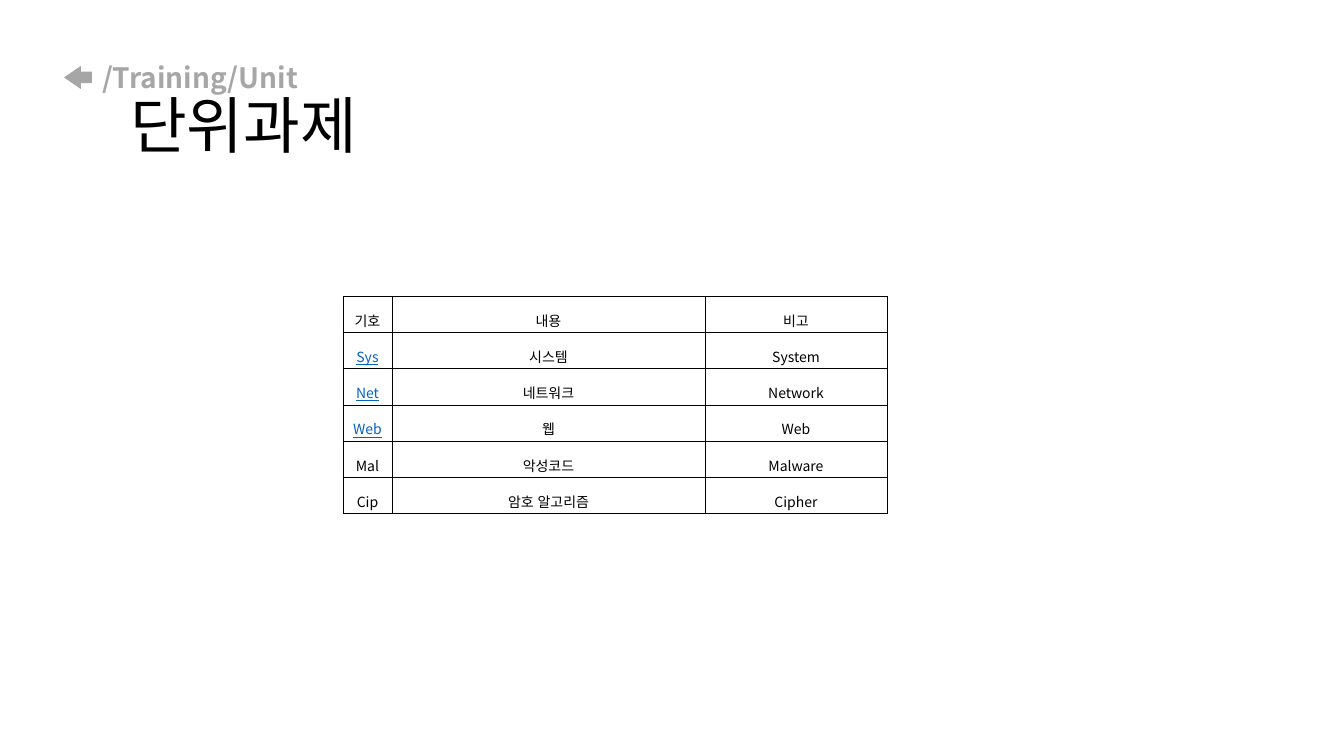
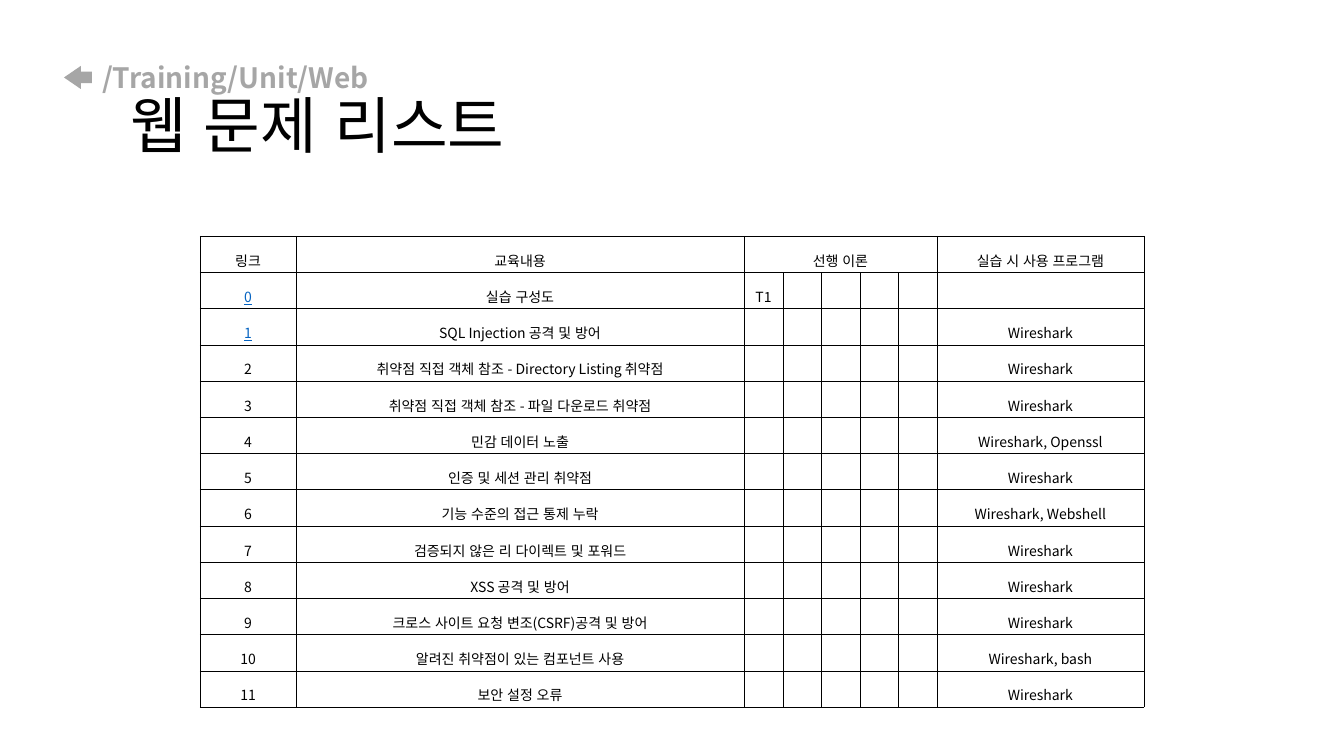
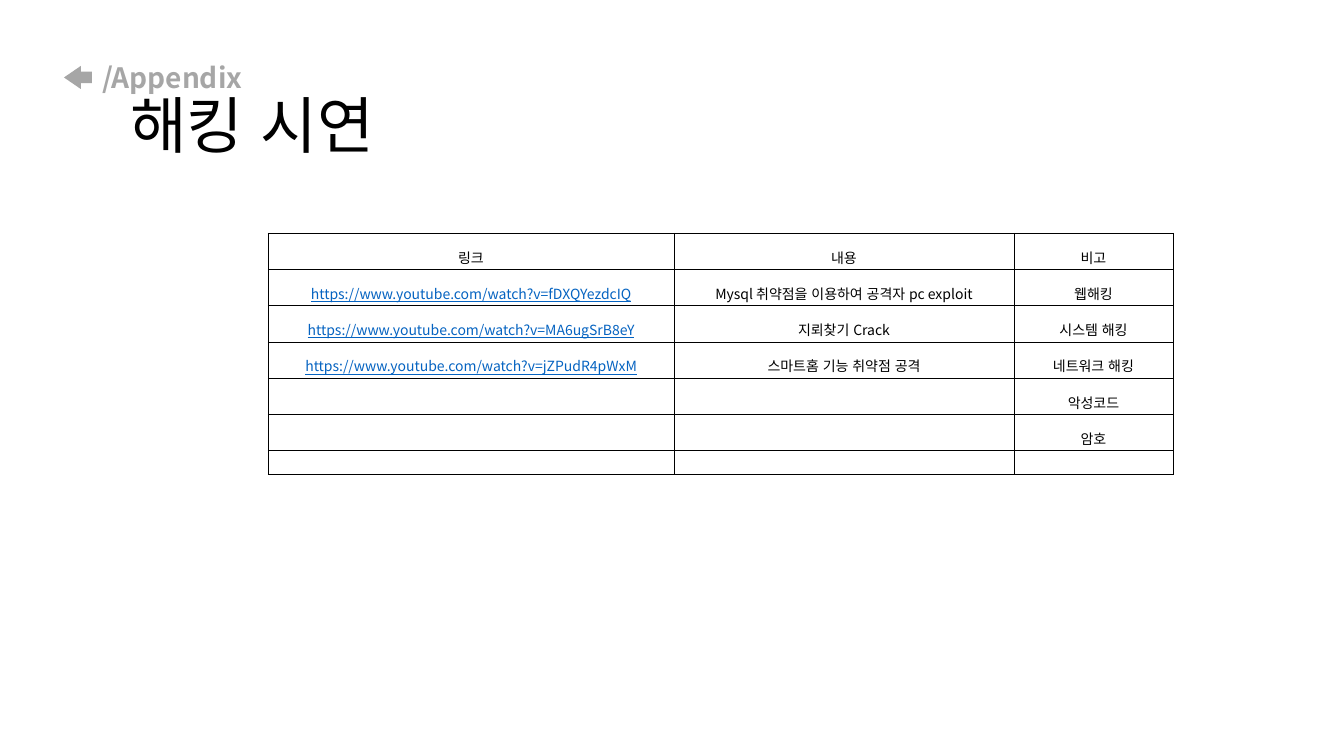
from copy import deepcopy
from dataclasses import dataclass

from lxml import etree
from pptx import Presentation
from pptx.dml.color import RGBColor
from pptx.enum.lang import MSO_LANGUAGE_ID
from pptx.enum.shapes import MSO_SHAPE
from pptx.enum.text import MSO_ANCHOR, MSO_AUTO_SIZE, PP_ALIGN
from pptx.oxml.ns import qn
from pptx.util import Emu, Pt

LEFT_ARROW = MSO_SHAPE.LEFT_ARROW
MIDDLE = MSO_ANCHOR.MIDDLE
NO_FIT = MSO_AUTO_SIZE.NONE
LEFT, CENTER = PP_ALIGN.LEFT, PP_ALIGN.CENTER
KOREAN = MSO_LANGUAGE_ID.KOREAN

EMU_PER_PX = 914400 / 100.8
FONT = "Noto Sans CJK KR"
BLACK, GRAY, BLUE = "000000", "A6A6A6", "0563C1"
ROW_H, LAST_EMPTY_H = 36, 24
TITLE_INDENT = 28
BORDER_PT = 0.28

CRUMB = {"size": Pt(20), "bold": True, "color": GRAY}
HEADING = {"size": Pt(44), "bold": False, "color": BLACK}
BODY = {"size": Pt(10), "bold": False, "color": BLACK}
LINK = {**BODY, "color": BLUE, "underline": True}


@dataclass
class TableSlide:
    """A slide with a breadcrumb, a heading and one table; the first `links` body rows start with a link."""
    crumb: str
    heading: str
    left: int
    top: int
    cols: list[int]
    rows: list[list[str]]
    links: int
    header_span: tuple[int, int] | None = None


WEB_TOPICS = [
    ("SQL Injection 공격 및 방어", "Wireshark"),
    ("취약점 직접 객체 참조 - Directory Listing 취약점", "Wireshark"),
    ("취약점 직접 객체 참조 - 파일 다운로드 취약점", "Wireshark"),
    ("민감 데이터 노출", "Wireshark, Openssl"),
    ("인증 및 세션 관리 취약점", "Wireshark"),
    ("기능 수준의 접근 통제 누락", "Wireshark, Webshell"),
    ("검증되지 않은 리 다이렉트 및 포워드", "Wireshark"),
    ("XSS 공격 및 방어", "Wireshark"),
    ("크로스 사이트 요청 변조(CSRF)공격 및 방어", "Wireshark"),
    ("알려진 취약점이 있는 컴포넌트 사용", "Wireshark, bash"),
    ("보안 설정 오류", "Wireshark"),
]

SLIDES = [
    TableSlide(
        "/Training/Unit", "단위과제", 343, 296, [49, 313, 182],
        [
            ["기호", "내용", "비고"],
            ["Sys", "시스템", "System"],
            ["Net", "네트워크", "Network"],
            ["Web", "웹", "Web"],
            ["Mal", "악성코드", "Malware"],
            ["Cip", "암호 알고리즘", "Cipher"],
        ],
        links=3,
    ),
    TableSlide(
        "/Training/Unit/Web", "웹 문제 리스트", 200, 236,
        [96, 448, 39, 38, 39, 38, 39, 207],
        [
            ["링크", "교육내용", "선행 이론", "", "", "", "", "실습 시 사용 프로그램"],
            ["0", "실습 구성도", "T1", "", "", "", "", ""],
            *([str(n), topic, *[""] * 5, tool]
              for n, (topic, tool) in enumerate(WEB_TOPICS, 1)),
        ],
        links=2,
        header_span=(2, 6),
    ),
    TableSlide(
        "/Appendix", "해킹 시연", 268, 233, [406, 340, 159],
        [
            ["링크", "내용", "비고"],
            ["https://www.youtube.com/watch?v=fDXQYezdcIQ",
             "Mysql 취약점을 이용하여 공격자 pc exploit", "웹해킹"],
            ["https://www.youtube.com/watch?v=MA6ugSrB8eY", "지뢰찾기 Crack", "시스템 해킹"],
            ["https://www.youtube.com/watch?v=jZPudR4pWxM",
             "스마트홈 기능 취약점 공격", "네트워크 해킹"],
            ["", "", "악성코드"],
            ["", "", "암호"],
            ["", "", ""],
        ],
        links=3,
    ),
]


def px(n: int) -> Emu:
    return Emu(round(n * EMU_PER_PX))


def rgb(value: str) -> RGBColor:
    return RGBColor.from_string(value)


def set_attrs(obj, values: dict) -> None:
    for name, value in values.items():
        setattr(obj, name, value)


def add_run(p, text: str, style: dict):
    r = p.add_run()
    r.text = text
    for name, value in style.items():
        if name == "color":
            r.font.color.rgb = rgb(value)
        else:
            setattr(r.font, name, value)
    set_attrs(r.font, {"name": FONT, "language_id": KOREAN})
    rpr = r._r.get_or_add_rPr()
    ea = etree.Element(qn("a:ea"), typeface=FONT)
    rpr.find(qn("a:latin")).addnext(ea)
    return r


def add_title(slide, crumb: str, heading: str) -> None:
    """Breadcrumb and heading as one paragraph, the second line indented."""
    sp = slide.shapes.title
    set_attrs(sp, {"left": px(92), "top": px(40), "width": px(1159), "height": px(146)})
    tf = sp.text_frame
    set_attrs(tf, {"word_wrap": True, "auto_size": NO_FIT, "vertical_anchor": MIDDLE})
    p = tf.paragraphs[0]
    set_attrs(p, {"alignment": LEFT, "line_spacing": 0.9})
    ppr = p._p.get_or_add_pPr()
    ppr.set("marL", str(px(TITLE_INDENT)))
    ppr.set("indent", str(-px(TITLE_INDENT)))
    r = add_run(p, crumb, CRUMB)
    p.add_line_break()
    p._p.find(qn("a:br")).append(deepcopy(r._r.get_or_add_rPr()))
    add_run(p, heading, HEADING)


def add_back_arrow(slide) -> None:
    sp = slide.shapes.add_shape(LEFT_ARROW, px(64), px(66), px(28), px(23))
    sp.adjustments[0], sp.adjustments[1] = 0.5, 0.73
    sp.shadow.inherit = False
    sp.fill.solid()
    sp.fill.fore_color.rgb = rgb(GRAY)
    sp.line.fill.background()


def add_borders(cell) -> None:
    tcpr = cell._tc.get_or_add_tcPr()
    for side in ("lnL", "lnR", "lnT", "lnB"):
        ln = etree.SubElement(tcpr, qn(f"a:{side}"), w=str(Pt(BORDER_PT)))
        fill = etree.SubElement(ln, qn("a:solidFill"))
        etree.SubElement(fill, qn("a:srgbClr"), val=BLACK)


def fill_cell(cell, text: str, style: dict) -> None:
    set_attrs(cell, {
        "margin_left": px(7), "margin_right": px(7),
        "margin_top": px(2), "margin_bottom": px(2),
        "vertical_anchor": MIDDLE,
    })
    add_borders(cell)
    cell.fill.background()
    p = cell.text_frame.paragraphs[0]
    p.alignment = CENTER
    if text:
        p.line_spacing = 1.6
        add_run(p, text, style)
    else:
        end = etree.SubElement(p._p, qn("a:endParaRPr"), sz=str(int(BODY["size"].pt * 100)))
        for tag in ("a:latin", "a:ea"):
            etree.SubElement(end, qn(tag), typeface=FONT)


def add_grid(slide, item: TableSlide) -> None:
    heights = [ROW_H if any(row) else LAST_EMPTY_H for row in item.rows]
    frame = slide.shapes.add_table(
        len(item.rows), len(item.cols), px(item.left), px(item.top),
        px(sum(item.cols)), px(sum(heights)))
    table = frame.table
    set_attrs(table, {"first_row": False, "horz_banding": False})
    for col, width in zip(table.columns, item.cols):
        col.width = px(width)
    for row, height in zip(table.rows, heights):
        row.height = px(height)
    for i, texts in enumerate(item.rows):
        for j, text in enumerate(texts):
            is_link = j == 0 and 1 <= i <= item.links
            fill_cell(table.cell(i, j), text, LINK if is_link else BODY)
    if item.header_span:
        first, last = item.header_span
        table.cell(0, first).merge(table.cell(0, last))


def main() -> None:
    prs = Presentation()
    set_attrs(prs, {"slide_width": px(1344), "slide_height": px(756)})
    title_only = prs.slide_layouts[5]
    for item in SLIDES:
        slide = prs.slides.add_slide(title_only)
        add_title(slide, item.crumb, item.heading)
        add_back_arrow(slide)
        add_grid(slide, item)
    prs.save("out.pptx")


if __name__ == "__main__":
    main()
